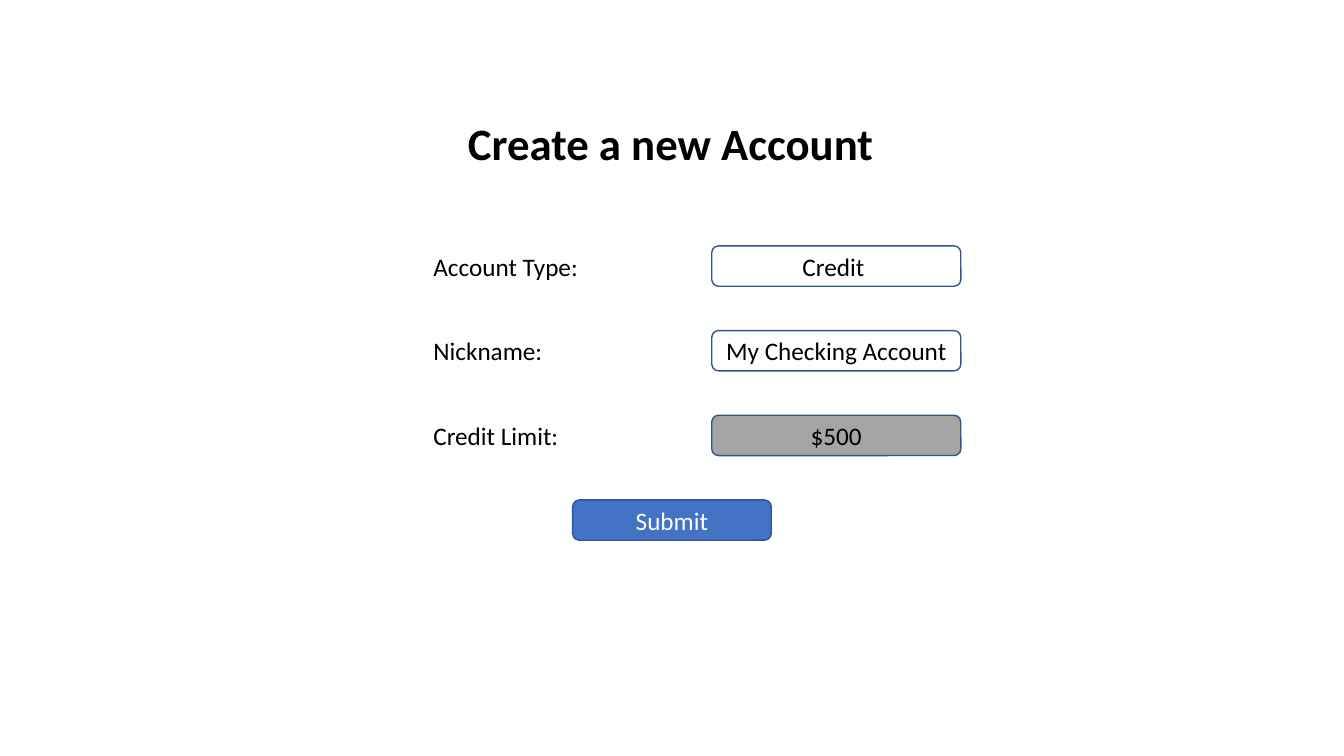
from pptx import Presentation
from pptx.dml.color import RGBColor
from pptx.enum.shapes import MSO_SHAPE as Shape
from pptx.enum.text import MSO_ANCHOR as Anchor, MSO_AUTO_SIZE as AutoSize, PP_ALIGN as Align
from pptx.util import Emu, Pt

PX = 9144  # 100 px to the inch
BLACK = RGBColor(0x00, 0x00, 0x00)
WHITE = RGBColor(0xFF, 0xFF, 0xFF)
BLUE = RGBColor(0x44, 0x72, 0xC4)
DARK_BLUE = RGBColor(0x32, 0x54, 0x91)
GREY = RGBColor(0xA5, 0xA5, 0xA5)

ROW_TOP, ROW_STEP, ROW_HEIGHT = 244, 84, 40
LABEL_LEFT, FIELD_LEFT, FIELD_WIDTH = 420, 706, 247
FIELDS = [
    ("Account Type:", 165, "Credit ", None),
    ("Nickname:", 129, "My Checking Account", None),
    ("Credit Limit:", 146, "$500", GREY),
]


def px(*lengths):
    return [Emu(length * PX) for length in lengths]


def write(frame, text, size=18, color=BLACK, bold=False, align=Align.LEFT,
          anchor=Anchor.TOP, wrap=False, auto_size=AutoSize.SHAPE_TO_FIT_TEXT):
    frame.word_wrap = wrap
    frame.auto_size = auto_size
    frame.vertical_anchor = anchor
    paragraph = frame.paragraphs[0]
    paragraph.alignment = align
    run = paragraph.add_run()
    run.text = text
    run.font.name = "Calibri"
    run.font.size = Pt(size)
    run.font.bold = bold
    run.font.color.rgb = color


def add_title(slide, text, left, top, width, height):
    title = slide.shapes.title
    title.left, title.top, title.width, title.height = px(left, top, width, height)
    write(title.text_frame, text, size=32, bold=True)
    title.text_frame.paragraphs[0].line_spacing = 1.0


def add_label(slide, text, left, top, width):
    label = slide.shapes.add_textbox(*px(left, top, width, ROW_HEIGHT))
    write(label.text_frame, text)


def add_rounded_box(slide, text, left, top, width, fill=None, color=BLACK):
    """Add an input field or button; without a fill it stays transparent."""
    box = slide.shapes.add_shape(Shape.ROUNDED_RECTANGLE, *px(left, top, width, ROW_HEIGHT))
    box.shadow.inherit = False
    if fill is None:
        box.fill.background()
    else:
        box.fill.solid()
        box.fill.fore_color.rgb = fill
    box.line.color.rgb = DARK_BLUE
    box.line.width = Pt(1)
    write(box.text_frame, text, color=color, align=Align.CENTER,
          anchor=Anchor.MIDDLE, wrap=True, auto_size=AutoSize.NONE)


def main():
    prs = Presentation()
    prs.slide_width, prs.slide_height = px(1333, 750)
    slide = prs.slides.add_slide(prs.slide_layouts[5])

    add_title(slide, "Create a new Account", 454, 110, 426, 64)
    for row, (label, label_width, value, fill) in enumerate(FIELDS):
        top = ROW_TOP + row * ROW_STEP
        add_label(slide, label, LABEL_LEFT, top, label_width)
        add_rounded_box(slide, value, FIELD_LEFT, top, FIELD_WIDTH, fill=fill)
    submit_top = ROW_TOP + len(FIELDS) * ROW_STEP
    add_rounded_box(slide, "Submit", 568, submit_top, 197, fill=BLUE, color=WHITE)

    prs.save("out.pptx")


if __name__ == "__main__":
    main()
